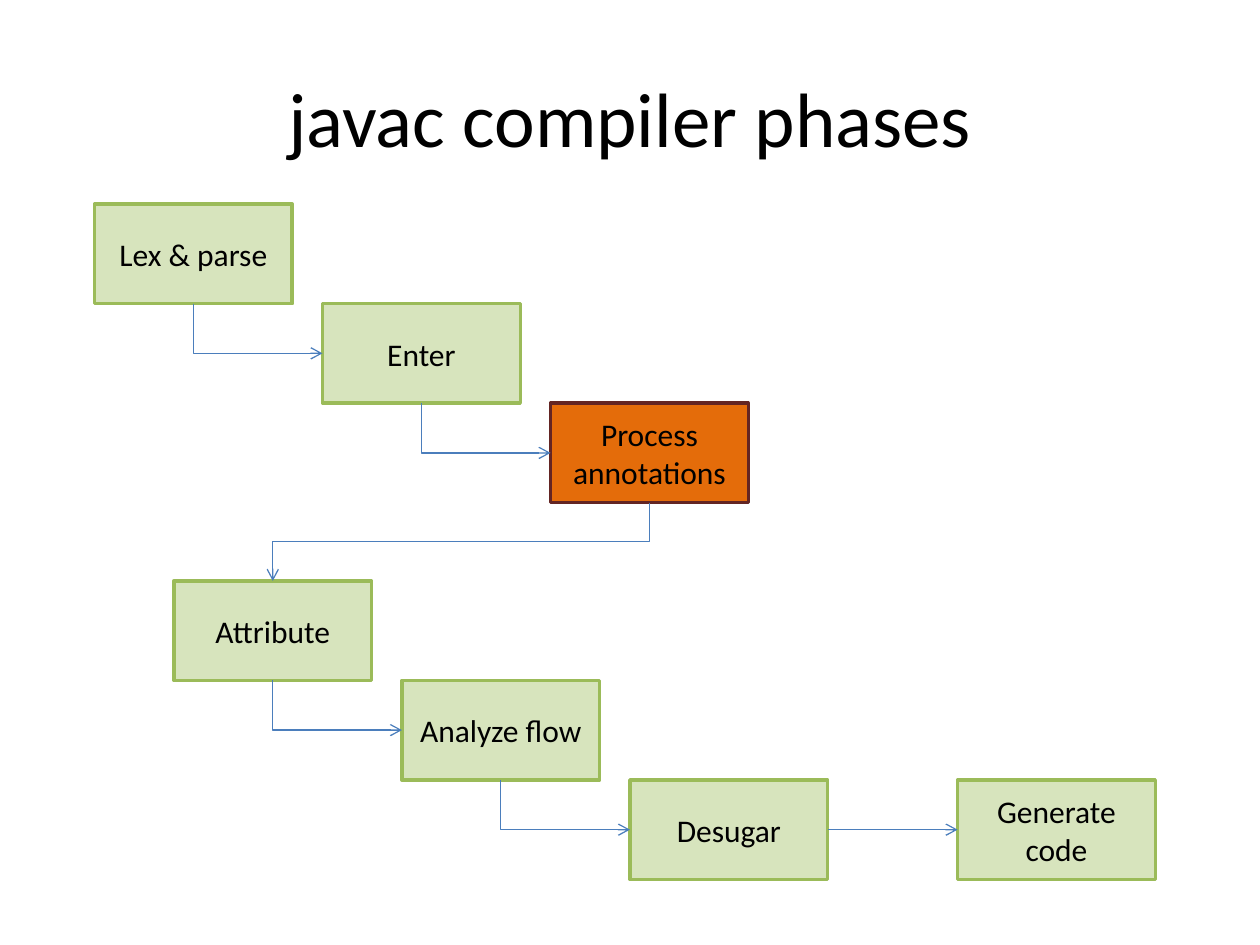
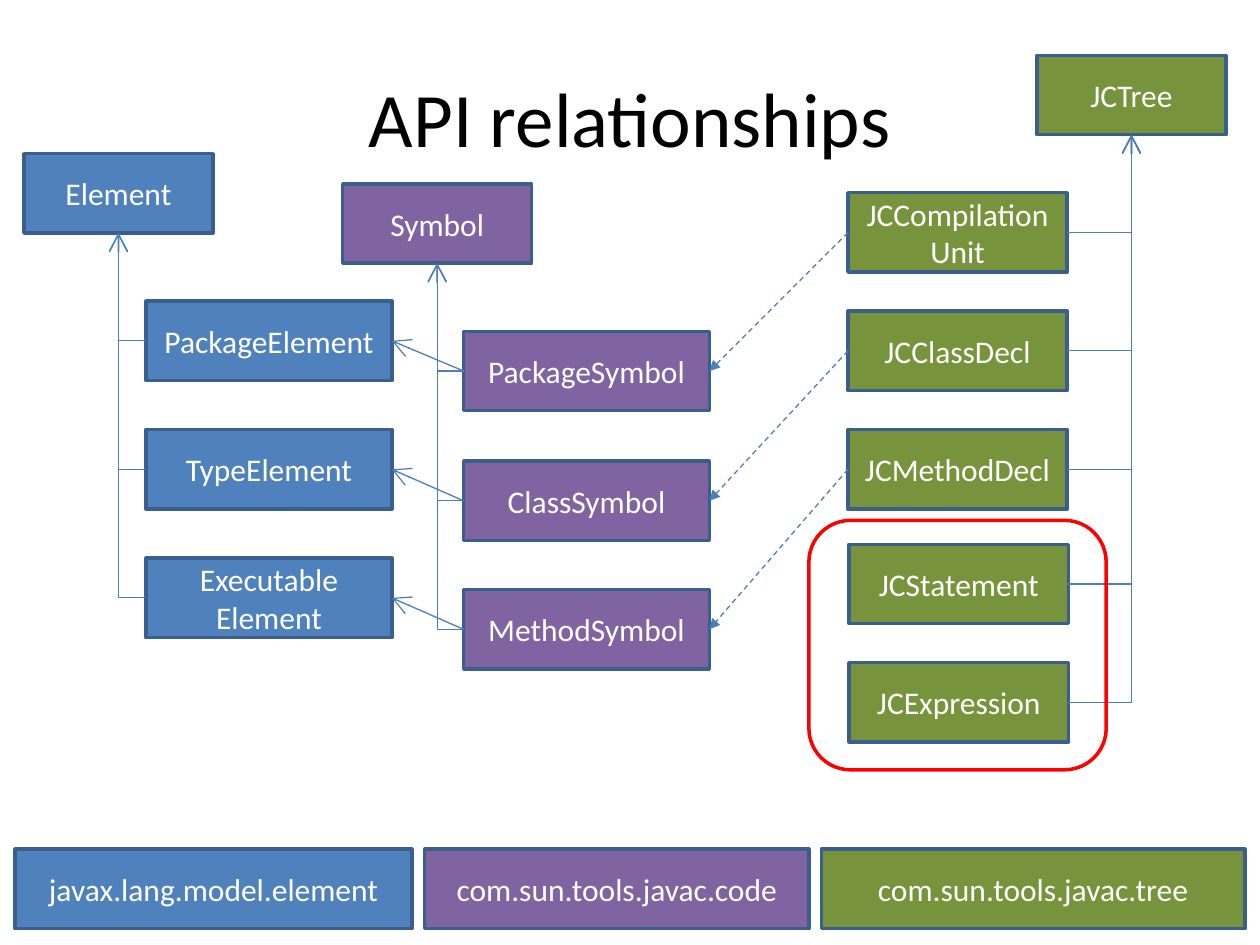
from lxml import etree
from pptx import Presentation
from pptx.dml.color import RGBColor
from pptx.enum.dml import MSO_LINE
from pptx.enum.shapes import MSO_CONNECTOR, MSO_SHAPE
from pptx.enum.text import MSO_ANCHOR, PP_ALIGN
from pptx.oxml.ns import qn
from pptx.util import Inches, Pt

RECTANGLE, ROUNDED = MSO_SHAPE.RECTANGLE, MSO_SHAPE.ROUNDED_RECTANGLE
STRAIGHT, ELBOW = MSO_CONNECTOR.STRAIGHT, MSO_CONNECTOR.ELBOW
CENTER, MIDDLE = PP_ALIGN.CENTER, MSO_ANCHOR.MIDDLE
TOP, LEFT, BOTTOM, RIGHT = range(4)  # connection sites of a rectangle
TITLE_ONLY = 5
FONT = "Calibri"
COLORS = {
    "black": "000000", "white": "FFFFFF", "connector": "4B7EBC",
    "phase": "D7E4BD", "phase edge": "9BBB59",
    "current": "E46C0A", "current edge": "632523",
    "element": "4F81BD", "symbol": "8064A2", "tree": "77933C",
    "class edge": "3A5F8C", "highlight": "FF0000",
}
COLORS = {name: RGBColor.from_string(value) for name, value in COLORS.items()}

presentation = Presentation()
presentation.slide_width, presentation.slide_height = Inches(10), Inches(7.5)
unit = presentation.slide_width / 10  # square grid, ten columns across


def add_box(slide, text, left, top, width, height, fill, edge, font_color):
    """Add a bordered rectangle with centred text, placed in grid units."""
    shape = slide.shapes.add_shape(
        RECTANGLE, *(round(value * unit) for value in (left, top, width, height)))
    shape.shadow.inherit = False
    shape.fill.solid()
    shape.fill.fore_color.rgb = COLORS[fill]
    shape.line.color.rgb = COLORS[edge]
    shape.line.width = Pt(2)
    shape.text_frame.text = text
    shape.text_frame.vertical_anchor = MIDDLE
    for paragraph in shape.text_frame.paragraphs:
        paragraph.alignment = CENTER
        font = paragraph.runs[0].font
        font.name, font.size = FONT, Pt(18)
        font.color.rgb = COLORS[font_color]
    return shape


def connect(slide, source, source_site, target, target_site,
            bends=0, head="arrow", head_size="med", dashed=False):
    """Join two boxes by a straight or bent arrow."""
    connector = slide.shapes.add_connector(ELBOW if bends else STRAIGHT, 0, 0, 0, 0)
    connector.begin_connect(source, source_site)
    connector.end_connect(target, target_site)
    properties = connector._element.spPr
    if bends:
        properties.find(qn("a:prstGeom")).set("prst", f"bentConnector{bends + 1}")
    if bends and source_site == BOTTOM:
        # A bend that starts downwards is a turned frame around the same centre
        goes_right = connector.end_x > connector.begin_x
        width, height = connector.width, connector.height
        connector.left += (width - height) // 2
        connector.top += (height - width) // 2
        connector.width, connector.height = height, width
        frame = properties.find(qn("a:xfrm"))
        frame.set("rot", "16200000" if goes_right else "5400000")
        frame.set("flipH", "1" if goes_right else "0")
        frame.set("flipV", "0")
    connector.line.color.rgb = COLORS["connector"]
    connector.line.width = Pt(0.75)
    if dashed:
        connector.line.dash_style = MSO_LINE.DASH
    etree.SubElement(properties.find(qn("a:ln")), qn("a:tailEnd"),
                     type=head, w=head_size, len=head_size)
    etree.SubElement(properties, qn("a:effectLst"))


# Slides and their titles
slides = []
for title_text in ("javac compiler phases", "API relationships"):
    slide = presentation.slides.add_slide(presentation.slide_layouts[TITLE_ONLY])
    title = slide.shapes.title
    title.left, title.top = round(0.5 * unit), round(0.3 * unit)
    title.width, title.height = round(9 * unit), round(1.25 * unit)
    title.text_frame.text = title_text
    title.text_frame.vertical_anchor = MIDDLE
    paragraph = title.text_frame.paragraphs[0]
    paragraph.alignment = CENTER
    font = paragraph.runs[0].font
    font.name, font.size = FONT, Pt(44)
    font.color.rgb = COLORS["black"]
    slides.append(slide)
phases_slide, api_slide = slides

# Slide 1: two staircases of phases
PHASE_WIDTH, PHASE_HEIGHT, STEP = 1.57, 0.79, 1.81
staircases = [
    (0.75, 1.62, ["Lex & parse", "Enter", "Process annotations"]),
    (1.38, 4.61, ["Attribute", "Analyze flow", "Desugar"]),
]
phases = {}
for left, top, names in staircases:
    for index, name in enumerate(names):
        kind = "current" if name == "Process annotations" else "phase"
        phases[name] = add_box(
            phases_slide, name, left + index * STEP, top + index * PHASE_HEIGHT,
            PHASE_WIDTH, PHASE_HEIGHT, kind, f"{kind} edge", "black")
    for before, after in zip(names, names[1:]):
        connect(phases_slide, phases[before], BOTTOM, phases[after], LEFT, bends=1)
generate = add_box(phases_slide, "Generate code", 7.6, 6.19, PHASE_WIDTH,
                   PHASE_HEIGHT, "phase", "phase edge", "black")
connect(phases_slide, phases["Desugar"], RIGHT, generate, LEFT)
connect(phases_slide, phases["Process annotations"], BOTTOM,
        phases["Attribute"], TOP, bends=2)

# Slide 2: three class families, each a parent and its children
CLASS_HEIGHT, PARENT_WIDTH = 0.63, 1.5
families = [
    # kind, parent (name, left, top), child width, side joined to the parent, children
    ("element", ("Element", 0.19, 1.22), 1.95, LEFT,
     [("PackageElement", 1.16, 2.39), ("TypeElement", 1.16, 3.41),
      ("Executable\nElement", 1.16, 4.43)]),
    ("symbol", ("Symbol", 2.72, 1.46), 1.95, LEFT,
     [("PackageSymbol", 3.68, 2.63), ("ClassSymbol", 3.68, 3.66),
      ("MethodSymbol", 3.68, 4.68)]),
    ("tree", ("JCTree", 8.23, 0.44), 1.74, RIGHT,
     [("JCCompilation\nUnit", 6.73, 1.53), ("JCClassDecl", 6.73, 2.47),
      ("JCMethodDecl", 6.73, 3.41), ("JCStatement", 6.74, 4.32),
      ("JCExpression", 6.74, 5.26)]),
]
children = {}
for kind, parent_place, child_width, side, child_places in families:
    parent = add_box(api_slide, *parent_place, PARENT_WIDTH, CLASS_HEIGHT,
                     kind, "class edge", "white")
    children[kind] = [
        add_box(api_slide, *place, child_width, CLASS_HEIGHT,
                kind, "class edge", "white")
        for place in child_places]
    for child in children[kind]:
        connect(api_slide, child, side, parent, BOTTOM, bends=1, head_size="lg")

# Links across the families: tree to symbol to element
for element, symbol, tree in zip(*children.values()):
    connect(api_slide, symbol, LEFT, element, RIGHT, head_size="lg")
    connect(api_slide, tree, LEFT, symbol, RIGHT, head="triangle", dashed=True)

# Highlight around statements and expressions
highlight = api_slide.shapes.add_shape(
    ROUNDED, *(round(value * unit) for value in (6.42, 4.13, 2.36, 1.98)))
highlight.shadow.inherit = False
highlight.fill.background()
highlight.line.color.rgb = COLORS["highlight"]
highlight.line.width = Pt(2)

# Package names along the bottom
packages = [
    ("javax.lang.model.element", 3.15, "element"),
    ("com.sun.tools.javac.code", 3.05, "symbol"),
    ("com.sun.tools.javac.tree", 3.36, "tree"),
]
left = 0.12
for name, width, kind in packages:
    add_box(api_slide, name, left, 6.74, width, CLASS_HEIGHT,
            kind, "class edge", "white")
    left += width + 0.1

presentation.save("out.pptx")
